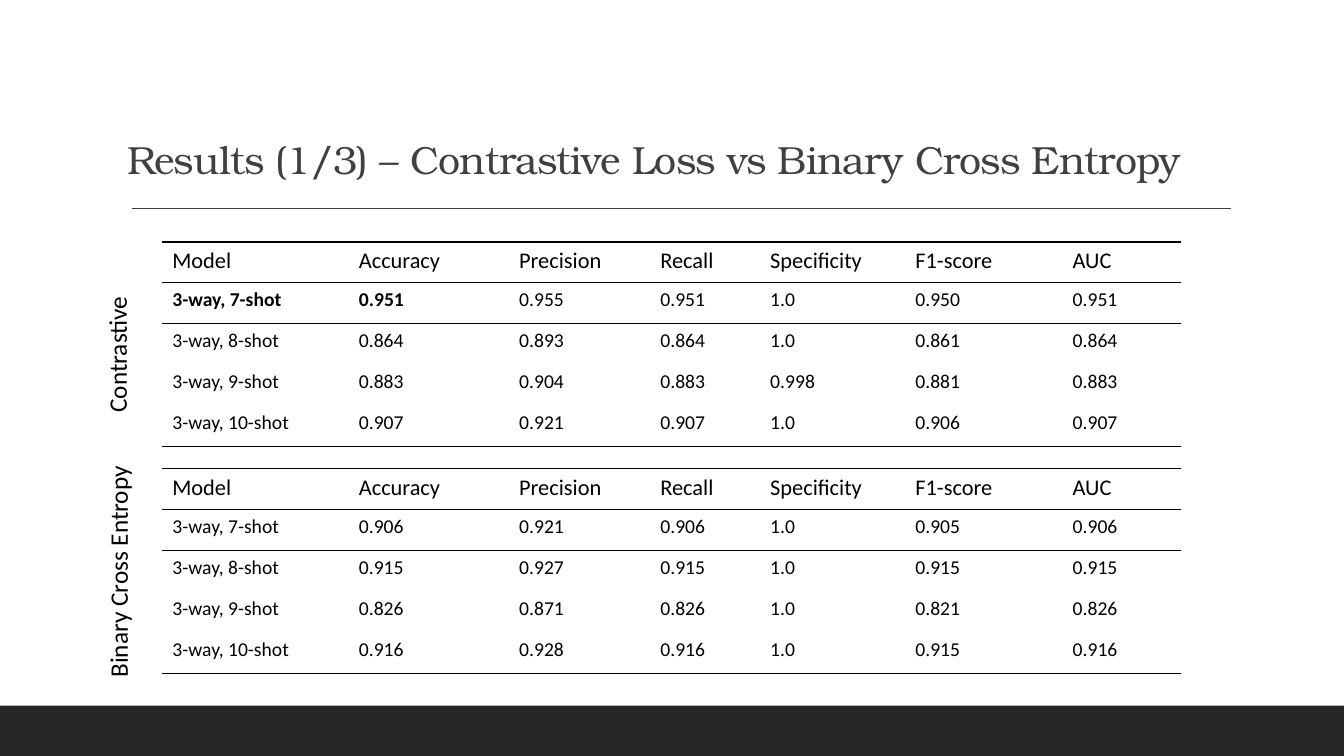
from dataclasses import dataclass

from lxml import etree
from pptx import Presentation
from pptx.dml.color import RGBColor
from pptx.enum.shapes import MSO_CONNECTOR, MSO_SHAPE
from pptx.enum.text import MSO_ANCHOR, MSO_AUTO_SIZE, PP_ALIGN
from pptx.oxml import parse_xml
from pptx.oxml.ns import nsdecls, qn
from pptx.util import Inches, Pt


@dataclass(frozen=True)
class Theme:
    ink: str = "000000"
    title: str = "404040"
    footer: str = "262626"
    title_font: str = "TeX Gyre Bonum"
    body_font: str = "Calibri"
    title_size: int = 28
    label_size: int = 18
    header_size: int = 16
    value_size: int = 14


T = Theme()
NO_TABLE_STYLE = "{2D5ABB26-0587-4C30-8999-92F81FD0307C}"
HEADER = ["Model", "Accuracy", "Precision", "Recall", "Specificity", "F1-score", "AUC"]
COL_WIDTHS = [1.85, 1.59, 1.4, 1.09, 1.44, 1.56, 1.17]
ROW_HEIGHT = 2.03 / 5
RULED_ROWS = (0, 1, 4)

CONTRASTIVE = [
    ["3-way, 7-shot", "0.951", "0.955", "0.951", "1.0", "0.950", "0.951"],
    ["3-way, 8-shot", "0.864", "0.893", "0.864", "1.0", "0.861", "0.864"],
    ["3-way, 9-shot", "0.883", "0.904", "0.883", "0.998", "0.881", "0.883"],
    ["3-way, 10-shot", "0.907", "0.921", "0.907", "1.0", "0.906", "0.907"],
]
CROSS_ENTROPY = [
    ["3-way, 7-shot", "0.906", "0.921", "0.906", "1.0", "0.905", "0.906"],
    ["3-way, 8-shot", "0.915", "0.927", "0.915", "1.0", "0.915", "0.915"],
    ["3-way, 9-shot", "0.826", "0.871", "0.826", "1.0", "0.821", "0.826"],
    ["3-way, 10-shot", "0.916", "0.928", "0.916", "1.0", "0.915", "0.916"],
]
# Rows, table top, best cells (row, column), label, label box
RESULTS = [
    (CONTRASTIVE, 2.4, {(1, 0), (1, 1)}, "Contrastive", (0.48, 3.31, 1.36, 0.4)),
    (CROSS_ENTROPY, 4.65, set(), "Binary Cross Entropy", (0.01, 5.46, 2.32, 0.4)),
]


def add_run(p, text, size, font=T.body_font, color=T.ink, bold=False):
    r = p.add_run()
    r.text = text
    r.font.size = Pt(size)
    r.font.name = font
    r.font.bold = bold
    r.font.color.rgb = RGBColor.from_string(color)
    return r


def add_rule(cell, side):
    """Draw a 1 pt border on the cell's top (T) or bottom (B); add B before T."""
    cell._tc.get_or_add_tcPr().insert(0, parse_xml(
        f'<a:ln{side} {nsdecls("a")} w="12700"><a:solidFill>'
        f'<a:srgbClr val="{T.ink}"/></a:solidFill></a:ln{side}>'))


prs = Presentation()
prs.slide_width, prs.slide_height = Inches(13.33), Inches(7.5)
s = prs.slides.add_slide(prs.slide_layouts[5])

# Footer band and title rule
band = s.shapes.add_shape(MSO_SHAPE.RECTANGLE, 0, Inches(7), prs.slide_width, Inches(0.5))
band.shadow.inherit = False
band.fill.solid()
band.fill.fore_color.rgb = RGBColor.from_string(T.footer)
band.line.fill.background()

rule = s.shapes.add_connector(
    MSO_CONNECTOR.STRAIGHT, Inches(1.31), Inches(2.07), Inches(12.21), Inches(2.07))
rule.line.width = Pt(1)
rule.line.color.rgb = RGBColor.from_string(T.title)
etree.SubElement(rule._element.spPr, qn("a:effectLst"))

# Title
title = s.shapes.title
title.left, title.top, title.width, title.height = map(Inches, (1.16, 1.08, 11, 0.79))
tf = title.text_frame
tf.auto_size = MSO_AUTO_SIZE.NONE
tf.vertical_anchor = MSO_ANCHOR.BOTTOM
p = tf.paragraphs[0]
p.alignment = PP_ALIGN.LEFT
p.line_spacing = 0.9
r = add_run(p, "Results (1/3) – Contrastive Loss vs Binary Cross Entropy",
            T.title_size, T.title_font, T.title)
r.font._element.set("spc", "-50")

# Result tables with their upright labels
for rows, top, best, label, box in RESULTS:
    frame = s.shapes.add_table(
        len(rows) + 1, len(HEADER), Inches(1.61), Inches(top),
        Inches(sum(COL_WIDTHS)), Inches(ROW_HEIGHT * (len(rows) + 1)))
    table = frame.table
    table.horz_banding = False
    table._tbl.tblPr.find(qn("a:tableStyleId")).text = NO_TABLE_STYLE
    for column, width in zip(table.columns, COL_WIDTHS):
        column.width = Inches(width)
    for i, values in enumerate([HEADER] + rows):
        table.rows[i].height = Inches(ROW_HEIGHT)
        for j, value in enumerate(values):
            cell = table.cell(i, j)
            cell.fill.background()
            if i in RULED_ROWS:
                add_rule(cell, "B")
            if i == 0:
                add_rule(cell, "T")
            add_run(cell.text_frame.paragraphs[0], value,
                    T.value_size if i else T.header_size, bold=(i, j) in best)

    side_label = s.shapes.add_textbox(*map(Inches, box))
    side_label.rotation = 270
    tf = side_label.text_frame
    tf.word_wrap = False
    tf.auto_size = MSO_AUTO_SIZE.SHAPE_TO_FIT_TEXT
    add_run(tf.paragraphs[0], label, T.label_size)

prs.save("out.pptx")
